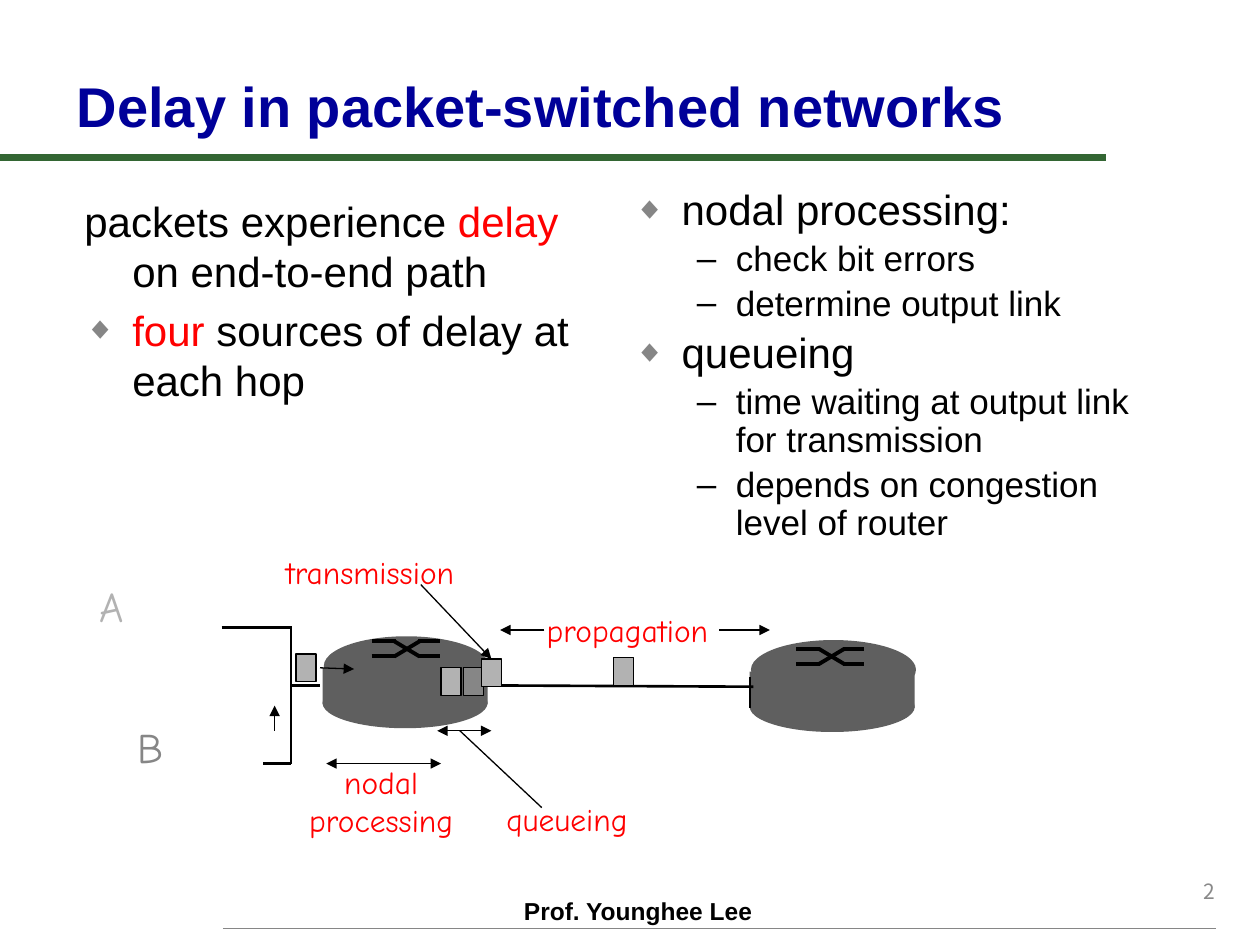
from lxml import etree
from pptx import Presentation, util as u
from pptx.dml.color import RGBColor
from pptx.enum import shapes as sh, text as tx
from pptx.oxml.ns import qn

inch = u.Inches
rgb = RGBColor.from_string
BLACK, RED, GREY, PALE, DARK = "000000", "FF0000", "868686", "B2B2B2", "5F5F5F"

deck = Presentation()
deck.slide_width, deck.slide_height = inch(10), inch(7.5)
slide = deck.slides.add_slide(deck.slide_layouts[3])
items = slide.shapes


def write(para, text, size=18, font="Arial", color=BLACK, bold=False):
    run = para.add_run()
    run.text = text
    run.font.size, run.font.name, run.font.bold = u.Pt(size), font, bold
    run.font.color.rgb = rgb(color)


def line(x1, y1, x2, y2, width=0.75, color=BLACK, heads=()):
    link = items.add_connector(sh.MSO_CONNECTOR.STRAIGHT, inch(x1), inch(y1), inch(x2), inch(y2))
    link.line.width = u.Pt(width)
    link.line.color.rgb = rgb(color)
    for end in heads:
        etree.SubElement(link.line._get_or_add_ln(), qn("a:" + end), type="triangle")
    etree.SubElement(link._element.spPr, qn("a:effectLst"))
    return link


line(0, 1.25, 8.78, 1.25, 4, "336633")
line(1.77, 7.37, 9.65, 7.37, 1, GREY)

title, left, right = slide.placeholders
for box, spot in (
    (title, (0.51, 0.36, 9.06, 0.79)),
    (left, (0.57, 1.5, 4.17, 1.94)),
    (right, (4.93, 1.45, 4.17, 3.19)),
):
    box.left, box.top, box.width, box.height = map(inch, spot)
    box.text_frame.auto_size = tx.MSO_AUTO_SIZE.NONE
    box.text_frame.word_wrap = True
title.text_frame.vertical_anchor = tx.MSO_ANCHOR.BOTTOM
head = title.text_frame.paragraphs[0]
head.alignment = tx.PP_ALIGN.LEFT
write(head, "Delay in packet-switched networks", size=32, color="000099", bold=True)

lists = (
    (left, 1, [
        (0, "", [("packets experience ", BLACK), ("delay ", RED), ("on end-to-end path", BLACK)]),
        (0, "◆", [("four", RED), (" sources of delay at each hop", BLACK)]),
    ]),
    (right, 0.9, [
        (0, "◆", [("nodal processing:", BLACK)]),
        (1, "–", [("check bit errors", BLACK)]),
        (1, "–", [("determine output link", BLACK)]),
        (0, "◆", [("queueing", BLACK)]),
        (1, "–", [("time waiting at output link for transmission", BLACK)]),
        (1, "–", [("depends on congestion level of router", BLACK)]),
    ]),
)
for box, gap, rows in lists:
    for i, (level, mark, runs) in enumerate(rows):
        para = box.text_frame.add_paragraph() if i else box.text_frame.paragraphs[0]
        size, edge, hang = ((24, 0.38, 0.38), (20, 0.81, 0.31))[level]
        para.level = level
        para.line_spacing = gap
        para.space_before = u.Pt(size * 0.2 if i else 0)
        props = para._p.get_or_add_pPr()
        props.set("marL", str(inch(edge)))
        props.set("indent", str(-inch(hang)))
        if mark:
            tint = etree.SubElement(props, qn("a:buClr"))
            etree.SubElement(tint, qn("a:srgbClr"), val=BLACK if level else GREY)
            etree.SubElement(props, qn("a:buSzPct"), val="100000" if level else "75000")
            etree.SubElement(props, qn("a:buFont"), typeface="Arial")
            etree.SubElement(props, qn("a:buChar"), char=mark)
        else:
            etree.SubElement(props, qn("a:buNone"))
        for text, color in runs:
            write(para, text, size=size, color=color)

oval, rect = sh.MSO_SHAPE.OVAL, sh.MSO_SHAPE.RECTANGLE
for x, y in ((2.56, 5.05), (5.95, 5.08)):
    for kind, dx, dy, high in ((oval, 0, 0.33, 0.4), (rect, 0, 0.25, 0.29), (oval, 0.01, 0, 0.47)):
        part = items.add_shape(kind, inch(x + dx), inch(y + dy), inch(1.31), inch(high))
        part.shadow.inherit = False
        part.fill.solid()
        part.fill.fore_color.rgb = rgb(DARK)
        part.line.fill.background()
line(5.95, 5.37, 5.95, 5.62, 1)

for x, y in ((2.95, 5.09), (6.32, 5.15)):
    for a, b in ((y, y + 0.12), (y + 0.12, y)):
        line(x, a, x + 0.19, a, 2.25)
        line(x + 0.18, a, x + 0.38, b, 2.25)
        line(x + 0.37, b, x + 0.54, b, 2.25)

for ends in (
    (1.76, 4.98, 2.31, 4.98),
    (2.09, 6.06, 2.31, 6.06),
    (3.86, 5.44, 5.98, 5.45),
    (2.31, 4.97, 2.31, 6.06),
    (2.32, 5.44, 2.54, 5.44),
):
    line(*ends, width=1.5)

for x, y, color in (
    (4.87, 5.22, PALE), (3.5, 5.3, PALE), (3.68, 5.3, GREY), (2.35, 5.19, PALE), (3.82, 5.23, PALE),
):
    packet = items.add_shape(rect, inch(x), inch(y), inch(0.16), inch(0.22))
    packet.shadow.inherit = False
    packet.fill.solid()
    packet.fill.fore_color.rgb = rgb(color)
    packet.line.color.rgb = rgb(BLACK)
    packet.line.width = u.Pt(0.75)

one, both = ("tailEnd",), ("headEnd", "tailEnd")
for ends, heads in (
    ((2.54, 5.3, 2.81, 5.31), one),
    ((2.18, 5.8, 2.18, 5.6), one),
    ((5.71, 5, 6.11, 5), one),
    ((4.32, 5, 3.97, 5), one),
    ((3.5, 6.06, 2.59, 6.06), both),
    ((3.9, 5.8, 3.47, 5.8), both),
    ((4.3, 6.41, 3.65, 5.8), ()),
):
    line(*ends, heads=heads)
send = line(3.34, 4.64, 3.9, 5.23, heads=one)
send.end_connect(packet, 0)

comic = {"font": "Comic Neue"}
label = {**comic, "color": RED}
start, mid, end = tx.PP_ALIGN.LEFT, tx.PP_ALIGN.CENTER, tx.PP_ALIGN.RIGHT
for spot, rows, align, look in (
    ((4.06, 7.06, 2.08, 0.33), ["Prof. Younghee Lee"], start, {"size": 14, "bold": True}),
    ((7.66, 6.82, 2.08, 0.5), ["2"], end, {"size": 12, "font": "Noto Sans CJK KR", "color": "898989"}),
    ((0.69, 4.56, 0.44, 0.5), ["A"], start, {**comic, "size": 24, "color": PALE}),
    ((0.99, 5.68, 0.41, 0.5), ["B"], start, {**comic, "size": 24, "color": GREY}),
    ((4.24, 4.8, 1.56, 0.4), ["propagation"], start, label),
    ((2.17, 4.34, 1.66, 0.4), ["transmission"], start, label),
    ((2.31, 6.01, 1.43, 0.7), ["nodal", "processing"], mid, label),
    ((3.92, 6.3, 1.2, 0.4), ["queueing"], start, label),
):
    frame = items.add_textbox(*map(inch, spot)).text_frame
    frame.word_wrap = "font" not in look or align == end
    if align == end:
        frame.vertical_anchor = tx.MSO_ANCHOR.MIDDLE
    for i, text in enumerate(rows):
        para = frame.add_paragraph() if i else frame.paragraphs[0]
        para.alignment = align
        write(para, text, **look)

deck.save("out.pptx")
